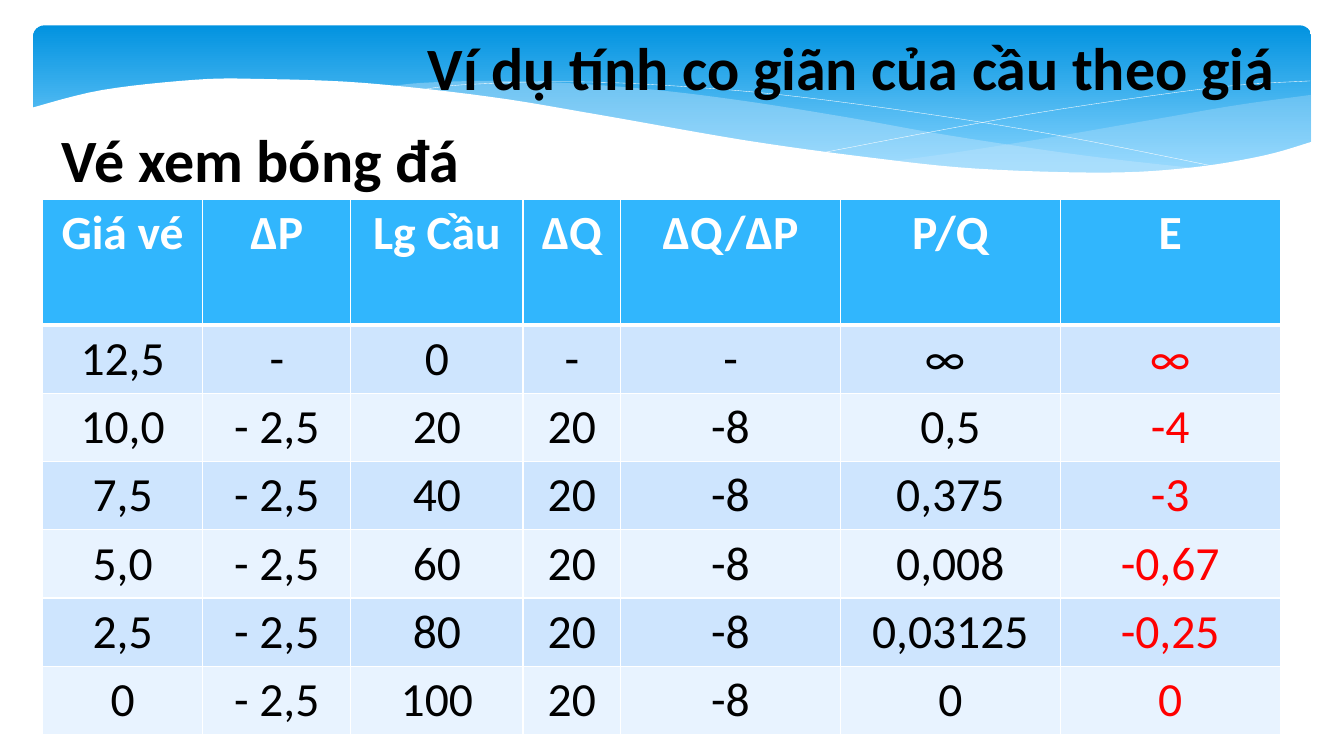
from dataclasses import dataclass

from lxml import etree
from pptx import Presentation
from pptx.dml.color import RGBColor
from pptx.enum.shapes import MSO_SHAPE
from pptx.enum.text import MSO_ANCHOR, MSO_AUTO_SIZE, PP_ALIGN
from pptx.oxml.ns import qn
from pptx.util import Cm, Pt

ROUND = MSO_SHAPE.ROUNDED_RECTANGLE
TOP = MSO_ANCHOR.TOP
CENTER = PP_ALIGN.CENTER
FIXED = MSO_AUTO_SIZE.NONE


@dataclass(frozen=True)
class Theme:
    font: str = "Calibri"
    head: float = 42.9
    body: float = 34
    black: str = "000000"
    white: str = "FFFFFF"
    red: str = "FF0000"
    deep: str = "0293E0"
    sky: str = "83D3FE"
    haze: str = "C6E7FC"
    top: str = "31B6FD"
    bands: tuple = ("CEE5FE", "E8F3FF")


THEME = Theme()

# Banner curves: key points in cm from the banner's top left corner
WAVE = [(-0.05, 2.08), (1.73, 1.63), (4.09, 1.37), (5.72, 1.35), (8.33, 1.45),
        (11.51, 1.8), (14.3, 2.26), (17.96, 2.9), (21.08, 3.33), (23.77, 3.61),
        (27.03, 3.71), (29.21, 3.58), (31.01, 3.28), (32.26, 2.92)]
BASE = [(32.26, 5.05), (-0.05, 5.05)]
EAST = ([(32.21, 1.75), (30.33, 2.01), (28.3, 2.36), (25.53, 2.84),
         (23.06, 3.23), (21.56, 3.43)],
        [(21.56, 3.43), (23.5, 3.61), (25.2, 3.71), (26.72, 3.73),
         (28.4, 3.68), (29.82, 3.51), (31.09, 3.28), (32.21, 2.97)])
WEST = ([(29.39, 3.61), (26.49, 3.28), (23.06, 2.77), (20.47, 2.31),
         (17.96, 1.91), (15.72, 1.63), (13.39, 1.45), (11.4, 1.4),
         (9.78, 1.45), (8.86, 1.55)],
        [(8.86, 1.55), (11.43, 1.83), (14.38, 2.31), (18.34, 3),
         (21.18, 3.38), (23.62, 3.63), (26.11, 3.76), (27.89, 3.73),
         (29.39, 3.61)])
FALL = [(9.63, 1.65), (10.8, 1.5), (13.26, 1.42), (15.72, 1.5),
        (18.85, 1.75), (22.71, 2.26), (26.09, 2.82), (29.9, 3.58)]
RISE = [(19.94, 3.2), (22.71, 2.67), (25.45, 2.18), (28.5, 1.73),
        (30.45, 1.5), (32.18, 1.4)]

WIDTHS = [4.04, 3.73, 4.34, 2.46, 5.54, 5.54, 5.54]
ROWS = [
    ["Giá vé", "∆P", "Lg Cầu", "∆Q", "∆Q/∆P", "P/Q", "E"],
    ["12,5", "-", "0", "-", "-", "∞ ", "∞"],
    ["10,0", "- 2,5", "20", "20", "-8", "0,5", "-4"],
    ["7,5", "- 2,5", "40", "20", "-8", "0,375", "-3"],
    ["5,0", "- 2,5", "60", "20", "-8", "0,008", "-0,67"],
    ["2,5", "- 2,5", "80", "20", "-8", "0,03125", "-0,25"],
    ["0", "- 2,5", "100", "20", "-8", "0", "0"],
]


def color(code):
    return RGBColor.from_string(code)


def smooth(points, steps=6):
    """Catmull-Rom curve through the points."""
    ends = [points[0], *points, points[-1]]
    curve = [points[0]]
    for a, b, c, d in zip(ends, ends[1:], ends[2:], ends[3:]):
        for step in range(1, steps + 1):
            t = step / steps
            curve.append(tuple(
                (2 * q + (r - p) * t + (2 * p - 5 * q + 4 * r - s) * t ** 2
                 + (3 * q - p - 3 * r + s) * t ** 3) / 2
                for p, q, r, s in zip(a, b, c, d)))
    return curve


def trace(slide, box, points, close):
    left, top = box[:2]
    spots = [(Cm(left + x), Cm(top + y)) for x, y in points]
    pen = slide.shapes.build_freeform(*spots[0])
    pen.add_line_segments(spots[1:], close=close)
    shape = pen.convert_to_shape()
    shape.shadow.inherit = False
    return shape


def add_area(slide, box, points, code, alpha=100):
    shape = trace(slide, box, points, True)
    shape.line.fill.background()
    shape.fill.solid()
    shape.fill.fore_color.rgb = color(code)
    if alpha < 100:
        tint = shape.fill._xPr.find(".//" + qn("a:srgbClr"))
        etree.SubElement(tint, qn("a:alpha"), val=str(alpha * 1000))


def add_banner(slide, box):
    # Gradient panel
    panel = slide.shapes.add_shape(ROUND, *map(Cm, box))
    panel.adjustments[0] = 0.07
    panel.shadow.inherit = False
    panel.line.fill.background()
    panel.fill.gradient()
    panel.fill.gradient_angle = 270
    looks = [(0, THEME.deep), (0.9, THEME.sky)]
    for stop, (place, code) in zip(panel.fill.gradient_stops, looks):
        stop.position = place
        stop.color.rgb = color(code)

    # Pale bands, thin lines and the white wave
    for (upper, lower), alpha in ((EAST, 29), (WEST, 40)):
        add_area(slide, box, smooth(upper) + smooth(lower), THEME.haze, alpha)
    for points in (FALL, RISE):
        line = trace(slide, box, smooth(points), False)
        line.fill.background()
        line.line.color.rgb = color(THEME.white)
        line.line.width = Pt(0.25)
    add_area(slide, box, smooth(WAVE) + BASE, THEME.white)


def style(para, size, code, bold):
    para.alignment = CENTER
    font = para.font
    font.name, font.size, font.bold = THEME.font, Pt(size), bold
    font.color.rgb = color(code)


def set_head(shape, box, text):
    shape.left, shape.top, shape.width, shape.height = map(Cm, box)
    frame = shape.text_frame
    frame.text = text
    frame.word_wrap = True
    frame.auto_size = FIXED
    frame.vertical_anchor = TOP
    style(frame.paragraphs[0], THEME.head, THEME.black, True)


def set_edges(cell, head, first):
    props = cell._tc.get_or_add_tcPr()
    for side in "LRTB":
        thick = (head and side == "B") or (first and side == "T")
        edge = etree.SubElement(props, qn("a:ln" + side),
                                w=str(Pt(3 if thick else 1)))
        fill = etree.SubElement(edge, qn("a:solidFill"))
        etree.SubElement(fill, qn("a:srgbClr"), val=THEME.white)


def add_grid(slide, box):
    frame = slide.shapes.add_table(len(ROWS), len(WIDTHS), *map(Cm, box))
    table = frame.table
    for column, width in zip(table.columns, WIDTHS):
        column.width = Cm(width)
    for i, (row, texts) in enumerate(zip(table.rows, ROWS)):
        head = i == 0
        row.height = Cm(3.16 if head else 1.72)
        for j, (cell, text) in enumerate(zip(row.cells, texts)):
            last = j == len(WIDTHS) - 1
            ink = THEME.white if head else THEME.red if last else THEME.black
            set_edges(cell, head, i == 1)
            cell.fill.solid()
            cell.fill.fore_color.rgb = color(
                THEME.top if head else THEME.bands[(i - 1) % 2])
            cell.text = text
            style(cell.text_frame.paragraphs[0], THEME.body, ink, head)


def main():
    deck = Presentation()
    deck.slide_width, deck.slide_height = Cm(33.87), Cm(19.05)
    slide = deck.slides.add_slide(deck.slide_layouts[5])
    title = slide.shapes.title
    add_banner(slide, (0.84, 0.64, 32.2, 3.96))
    # Bring the title in front of the banner
    slide.shapes._spTree.append(title._element)
    set_head(title, (8.26, 0.64, 26.37, 2.54),
             "Ví dụ tính co giãn của cầu theo giá")
    box = (0, 2.97, 13.13, 2.54)
    set_head(slide.shapes.add_textbox(*map(Cm, box)), box, "Vé xem bóng đá")
    add_grid(slide, (1.07, 5.03, 31.19, 13.48))
    deck.save("out.pptx")


if __name__ == "__main__":
    main()
